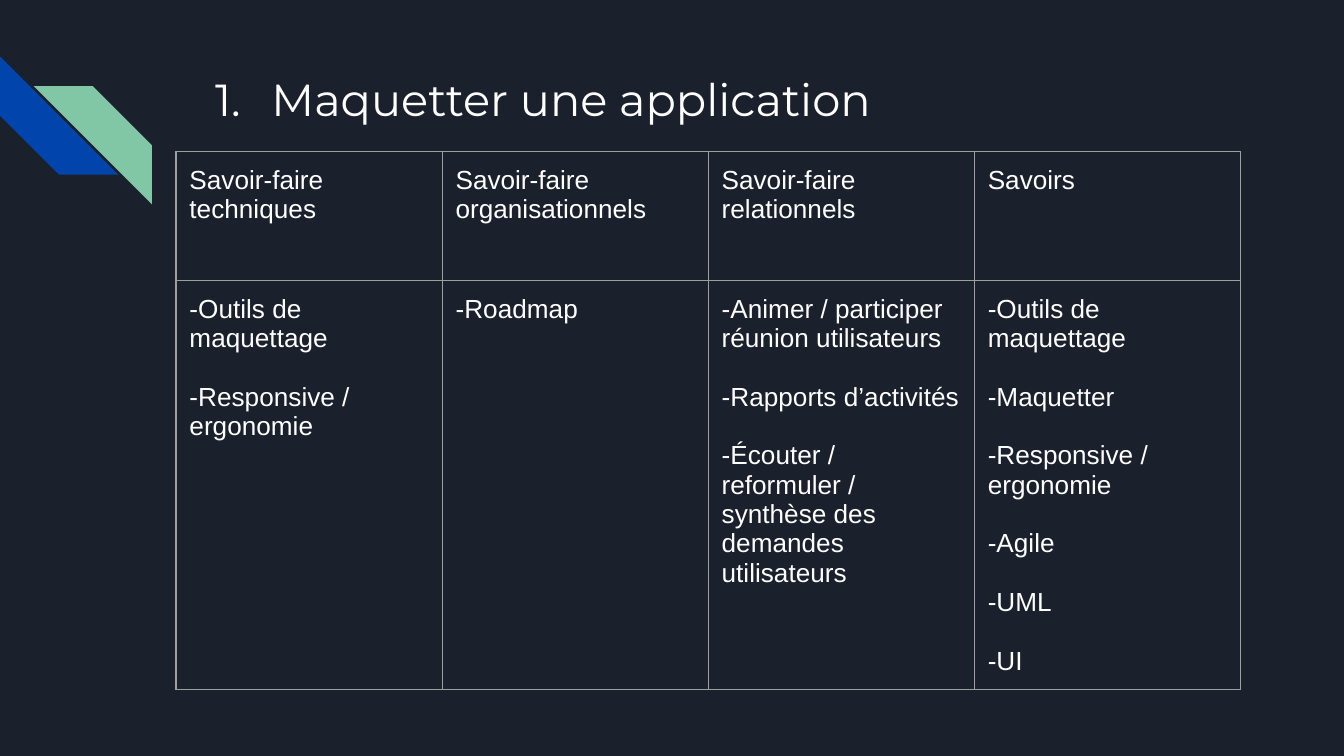
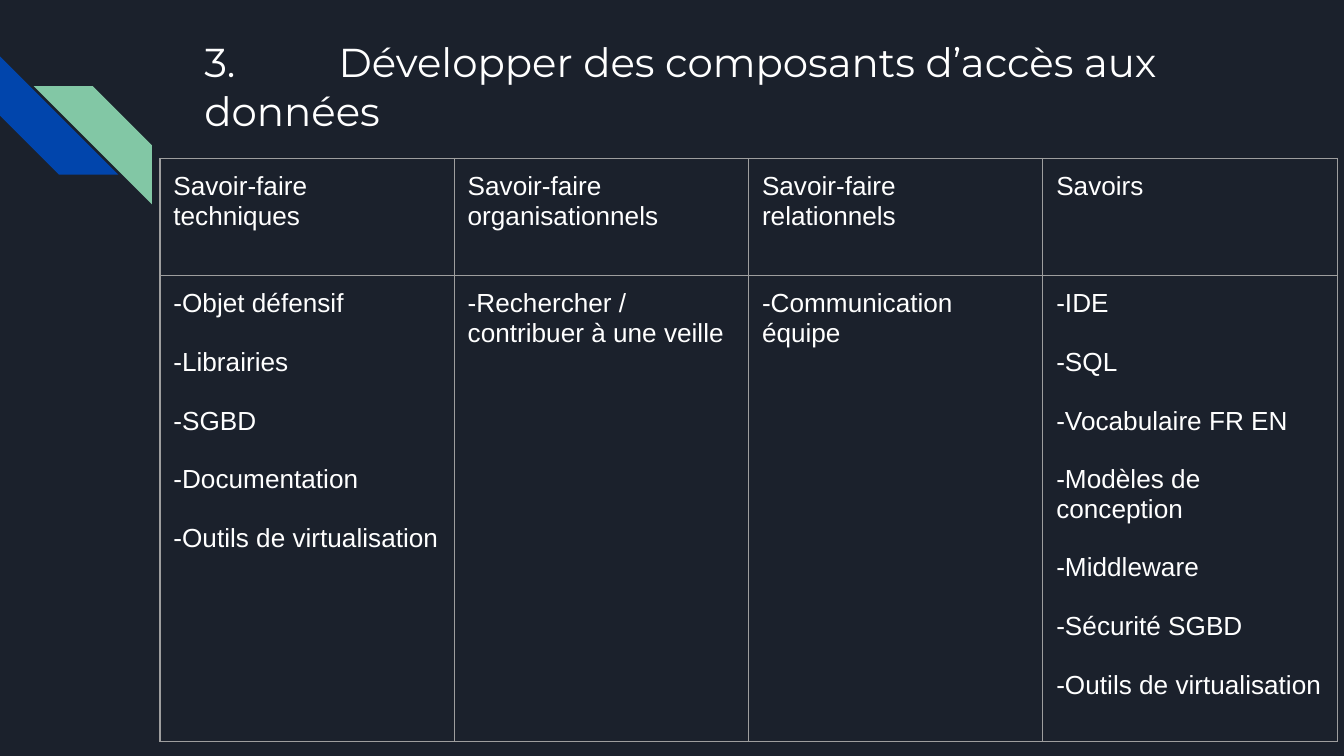
from dataclasses import dataclass

from lxml.etree import SubElement
from pptx import Presentation
from pptx.dml.color import RGBColor
from pptx.enum.shapes import MSO_SHAPE
from pptx.enum.text import MSO_ANCHOR, MSO_AUTO_SIZE, PP_ALIGN
from pptx.oxml.ns import qn
from pptx.presentation import Presentation as Deck
from pptx.slide import Slide
from pptx.table import _Cell as Cell
from pptx.util import Inches, Pt

COLORS = {
    "background": "1B212C",
    "blue": "0145AC",
    "green": "82C7A5",
    "text": "FFFFFF",
    "border": "9E9E9E",
}
TITLE_FONT = "Montserrat"
TABLE_FONT = "Arial"
MARGIN = Inches(0.1)
SLIDE_WIDTH = Inches(10)
SLIDE_HEIGHT = Inches(10 * 9 / 16)
HEADERS = (
    "Savoir-faire techniques",
    "Savoir-faire organisationnels",
    "Savoir-faire relationnels",
    "Savoirs",
)


@dataclass(frozen=True)
class Stripe:
    left: float
    top: float
    rotation: int
    color: str


@dataclass(frozen=True)
class SkillSlide:
    title: str
    title_top: float
    title_size: float
    numbered: bool
    table_left: float
    table_top: float
    column_width: float
    row_heights: tuple[float, float]
    skills: tuple[tuple[str, ...], ...]


STRIPES = (Stripe(0, 0.42, 270, "blue"), Stripe(0.25, 0.64, 90, "green"))

SKILL_SLIDES = (
    SkillSlide(
        "Maquetter une application", 0.43, 24, True,
        1.31, 1.13, 1.98, (0.96, 3.04),
        (
            ("Outils de maquettage", "Responsive / ergonomie"),
            ("Roadmap",),
            (
                "Animer / participer réunion utilisateurs",
                "Rapports d’activités",
                "Écouter / reformuler / synthèse des demandes utilisateurs",
            ),
            ("Outils de maquettage", "Maquetter", "Responsive / ergonomie",
             "Agile", "UML", "UI"),
        ),
    ),
    SkillSlide(
        "3.\tDévelopper des composants d’accès aux données", 0.18, 21.6, False,
        1.19, 1.18, 2.19, (0.87, 3.47),
        (
            ("Objet défensif", "Librairies", "SGBD", "Documentation",
             "Outils de virtualisation"),
            ("Rechercher / contribuer à une veille",),
            ("Communication équipe",),
            ("IDE", "SQL", "Vocabulaire FR EN", "Modèles de conception",
             "Middleware", "Sécurité SGBD", "Outils de virtualisation"),
        ),
    ),
)


def color(name: str) -> RGBColor:
    return RGBColor.from_string(COLORS[name])


def draw_stripe(slide: Slide, stripe: Stripe) -> None:
    side = Inches(0.88)
    shape = slide.shapes.add_shape(
        MSO_SHAPE.DIAGONAL_STRIPE, Inches(stripe.left), Inches(stripe.top), side, side
    )
    shape.adjustments[0] = 0.5
    shape.rotation = stripe.rotation
    shape.shadow.inherit = False
    shape.fill.solid()
    shape.fill.fore_color.rgb = color(stripe.color)
    shape.line.fill.background()


def draw_title(slide: Slide, content: SkillSlide) -> None:
    title = slide.shapes.title
    title.left, title.top = Inches(1.42), Inches(content.title_top)
    title.width, title.height = Inches(7.7), Inches(1)
    frame = title.text_frame
    frame.text = content.title
    frame.word_wrap = True
    frame.auto_size = MSO_AUTO_SIZE.NONE
    frame.vertical_anchor = MSO_ANCHOR.TOP
    frame.margin_left = frame.margin_right = MARGIN
    frame.margin_top = frame.margin_bottom = MARGIN
    paragraph = frame.paragraphs[0]
    properties = paragraph._p.get_or_add_pPr()
    if content.numbered:
        properties.set("marL", str(Inches(0.5)))
        properties.set("indent", str(Inches(-0.42)))
        bullet_color = SubElement(properties, qn("a:buClr"))
        SubElement(bullet_color, qn("a:srgbClr"), val=COLORS["text"])
        SubElement(properties, qn("a:buAutoNum"), type="arabicPeriod")
    else:
        tabs = SubElement(properties, qn("a:tabLst"))
        SubElement(tabs, qn("a:tab"), pos=str(Inches(1)), algn="l")
    paragraph.alignment = PP_ALIGN.LEFT
    font = paragraph.runs[0].font
    font.name, font.size = TITLE_FONT, Pt(content.title_size)
    font.color.rgb = color("text")


def draw_borders(cell: Cell) -> None:
    properties = cell._tc.get_or_add_tcPr()
    for position, side in enumerate(("lnL", "lnR", "lnT", "lnB")):
        line = properties.makeelement(qn(f"a:{side}"), {"w": str(Pt(0.75))})
        fill = SubElement(line, qn("a:solidFill"))
        SubElement(fill, qn("a:srgbClr"), val=COLORS["border"])
        properties.insert(position, line)


def fill_cell(cell: Cell, lines: tuple[str, ...]) -> None:
    cell.fill.background()
    cell.margin_left = cell.margin_right = MARGIN
    cell.margin_top = cell.margin_bottom = MARGIN
    cell.text_frame.text = "\n".join(lines)
    for index, paragraph in enumerate(cell.text_frame.paragraphs):
        if index:
            paragraph.space_before = Pt(15.7)
        font = paragraph.runs[0].font
        font.name, font.size = TABLE_FONT, Pt(14)
        font.color.rgb = color("text")
    draw_borders(cell)


def draw_table(slide: Slide, content: SkillSlide) -> None:
    table = slide.shapes.add_table(
        2, len(HEADERS), Inches(content.table_left), Inches(content.table_top),
        Inches(content.column_width * len(HEADERS)), Inches(sum(content.row_heights)),
    ).table
    table.first_row = table.horz_banding = False
    for row, height in zip(table.rows, content.row_heights):
        row.height = Inches(height)
    for index, (header, skills) in enumerate(zip(HEADERS, content.skills)):
        table.columns[index].width = Inches(content.column_width)
        fill_cell(table.cell(0, index), (header,))
        fill_cell(table.cell(1, index), tuple(f"-{skill}" for skill in skills))


def add_skill_slide(presentation: Deck, content: SkillSlide) -> None:
    slide = presentation.slides.add_slide(presentation.slide_layouts[5])
    for stripe in STRIPES:
        draw_stripe(slide, stripe)
    draw_title(slide, content)
    draw_table(slide, content)


def main() -> None:
    """Build the skill table slides and save them."""
    presentation = Presentation()
    presentation.slide_width = SLIDE_WIDTH
    presentation.slide_height = SLIDE_HEIGHT
    background = presentation.slide_master.background.fill
    background.solid()
    background.fore_color.rgb = color("background")
    for content in SKILL_SLIDES:
        add_skill_slide(presentation, content)
    presentation.save("out.pptx")


if __name__ == "__main__":
    main()
